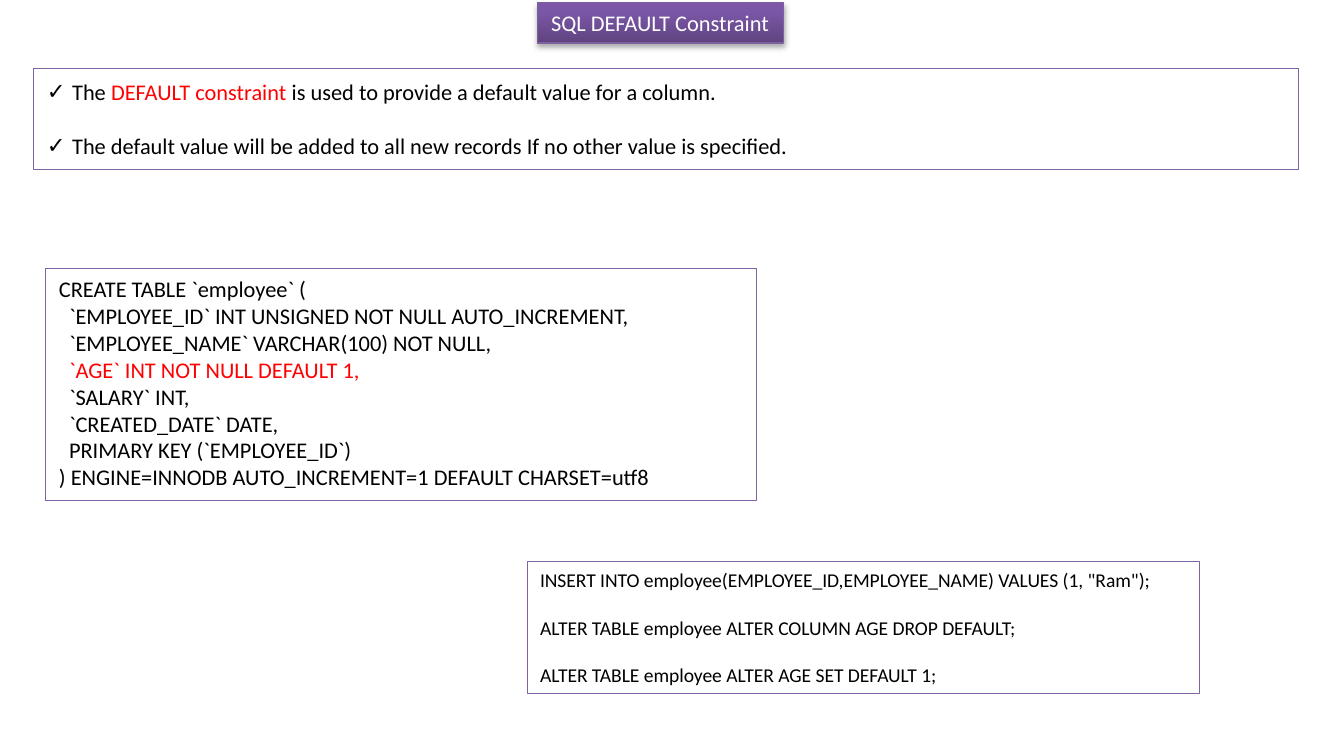
import lxml.etree
import pptx
import pptx.dml.color
import pptx.enum.shapes
import pptx.enum.text
import pptx.oxml
import pptx.oxml.ns
import pptx.util

RGBColor = pptx.dml.color.RGBColor
Pt = pptx.util.Pt
ANCHOR = pptx.enum.text.MSO_ANCHOR

WHITE = RGBColor(0xFF, 0xFF, 0xFF)
BLACK = RGBColor(0x00, 0x00, 0x00)
RED = RGBColor(0xFF, 0x00, 0x00)
BORDER = RGBColor(0x80, 0x64, 0xA2)
TITLE_BORDER = RGBColor(0x7D, 0x60, 0xA0)
TITLE_LIGHT = RGBColor(0x7C, 0x57, 0xA8)
TITLE_DARK = RGBColor(0x5F, 0x44, 0x80)

LINE_HEIGHT = 1.22  # Calibri line height as a share of the type size

presentation = pptx.Presentation()
presentation.slide_width = pptx.util.Inches(10)
presentation.slide_height = pptx.util.Inches(5.5)
column = presentation.slide_width / 100
row = presentation.slide_height / 55
slide = presentation.slides.add_slide(presentation.slide_layouts[5])


def place(shape, left, top, width, height):
    """Set a shape's frame in grid columns and rows."""
    frame = {"left": left * column, "top": top * row,
             "width": width * column, "height": height * row}
    for name, value in frame.items():
        setattr(shape, name, int(value))


def write(paragraph, runs, size):
    """Fill a paragraph with (text, colour) runs."""
    paragraph.alignment = pptx.enum.text.PP_ALIGN.LEFT
    for text, color in runs:
        run = paragraph.add_run()
        run.text = text
        for name, value in {"name": "Calibri", "size": Pt(size)}.items():
            setattr(run.font, name, value)
        run.font.color.rgb = color


# Title bar
title = slide.shapes.title
place(title, 40, 0.2, 18.3, 3)
title.fill.gradient()
title.fill.gradient_angle = 90
for stop, color in zip(title.fill.gradient_stops, (TITLE_DARK, TITLE_LIGHT)):
    stop.color.rgb = color
title.fill.gradient_stops[0].position = 0
title.fill.gradient_stops[1].position = 0.8
title.line.color.rgb = TITLE_BORDER
title.line.width = Pt(0.75)
title.element.spPr.append(pptx.oxml.parse_xml(
    f'<a:effectLst {pptx.oxml.ns.nsdecls("a")}>'
    '<a:outerShdw blurRad="40000" dist="23000" dir="5400000" rotWithShape="0">'
    '<a:srgbClr val="000000"><a:alpha val="35000"/></a:srgbClr>'
    '</a:outerShdw></a:effectLst>'))
title_format = {"word_wrap": False, "vertical_anchor": ANCHOR.TOP,
                "auto_size": pptx.enum.text.MSO_AUTO_SIZE.NONE}
for name, value in title_format.items():
    setattr(title.text_frame, name, value)
write(title.text_frame.paragraphs[0], [("SQL DEFAULT Constraint", WHITE)], 12)

# Bordered boxes: frame, type size, anchor, blank lines between, bullet, paragraphs
explanation = [
    [("The ", BLACK), ("DEFAULT constraint", RED),
     (" is used to provide a default value for a column.", BLACK)],
    [("The default value will be added to all new records If no other value is specified.", BLACK)],
]
create_table = [
    [("CREATE TABLE `employee` (", BLACK)],
    [("  `EMPLOYEE_ID` INT UNSIGNED NOT NULL AUTO_INCREMENT,", BLACK)],
    [("  `EMPLOYEE_NAME` VARCHAR(100) NOT NULL,", BLACK)],
    [("  ", BLACK), ("`AGE` INT NOT NULL DEFAULT 1,", RED)],
    [("  `SALARY` INT,", BLACK)],
    [("  `CREATED_DATE` DATE,", BLACK)],
    [("  PRIMARY KEY (`EMPLOYEE_ID`)", BLACK)],
    [(") ENGINE=INNODB AUTO_INCREMENT=1 DEFAULT CHARSET=utf8", BLACK)],
]
statements = [
    [('INSERT INTO employee(EMPLOYEE_ID,EMPLOYEE_NAME) VALUES (1, "Ram");', BLACK)],
    [("ALTER TABLE employee ALTER COLUMN AGE DROP DEFAULT;", BLACK)],
    [("ALTER TABLE employee ALTER AGE SET DEFAULT 1;", BLACK)],
]
boxes = [
    ((2.5, 5.1, 94.1, 7.5), 12, ANCHOR.MIDDLE, 1, "✓", explanation),
    ((3.4, 20, 52.9, 17.2), 12, ANCHOR.TOP, 0, None, create_table),
    ((39.2, 41.8, 50, 9.8), 10.5, ANCHOR.TOP, 1, None, statements),
]
for frame, size, anchor, gap_lines, bullet, paragraphs in boxes:
    box = slide.shapes.add_shape(pptx.enum.shapes.MSO_SHAPE.RECTANGLE, 0, 0, 0, 0)
    place(box, *frame)
    box.shadow.inherit = False
    box.fill.solid()
    box.fill.fore_color.rgb = WHITE
    box.line.color.rgb = BORDER
    box.line.width = Pt(0.25)
    text_frame = box.text_frame
    text_frame.word_wrap = True
    text_frame.vertical_anchor = anchor
    for index, runs in enumerate(paragraphs):
        paragraph = text_frame.add_paragraph() if index else text_frame.paragraphs[0]
        if index and gap_lines:
            paragraph.space_before = Pt(round(gap_lines * size * LINE_HEIGHT, 1))
        if bullet:
            properties = paragraph._p.get_or_add_pPr()
            indent = int(1.88 * column)
            properties.set("marL", str(indent))
            properties.set("indent", str(-indent))
            for tag, key, value in (("a:buFont", "typeface", "Wingdings"),
                                    ("a:buChar", "char", bullet)):
                if tag == "a:buFont":
                    value = "Calibri"
                lxml.etree.SubElement(properties, pptx.oxml.ns.qn(tag)).set(key, value)
        write(paragraph, runs, size)

presentation.save("out.pptx")
